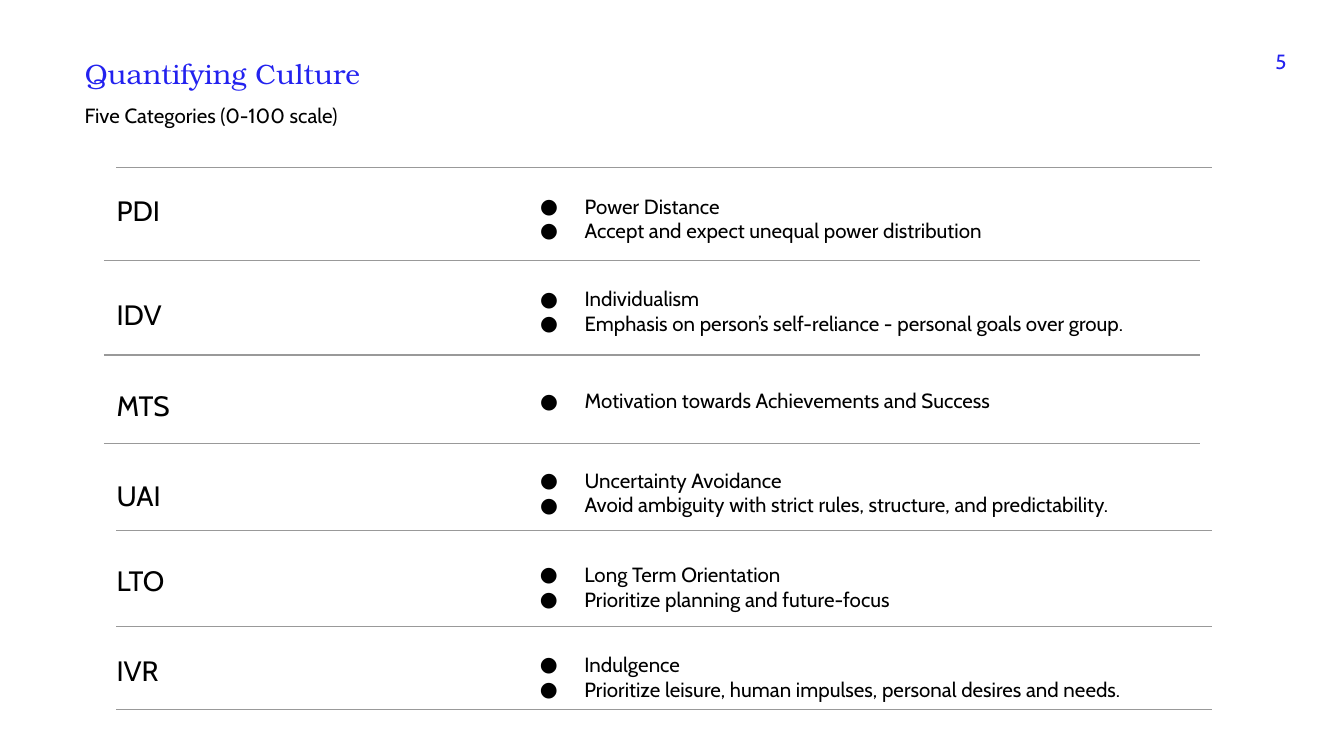
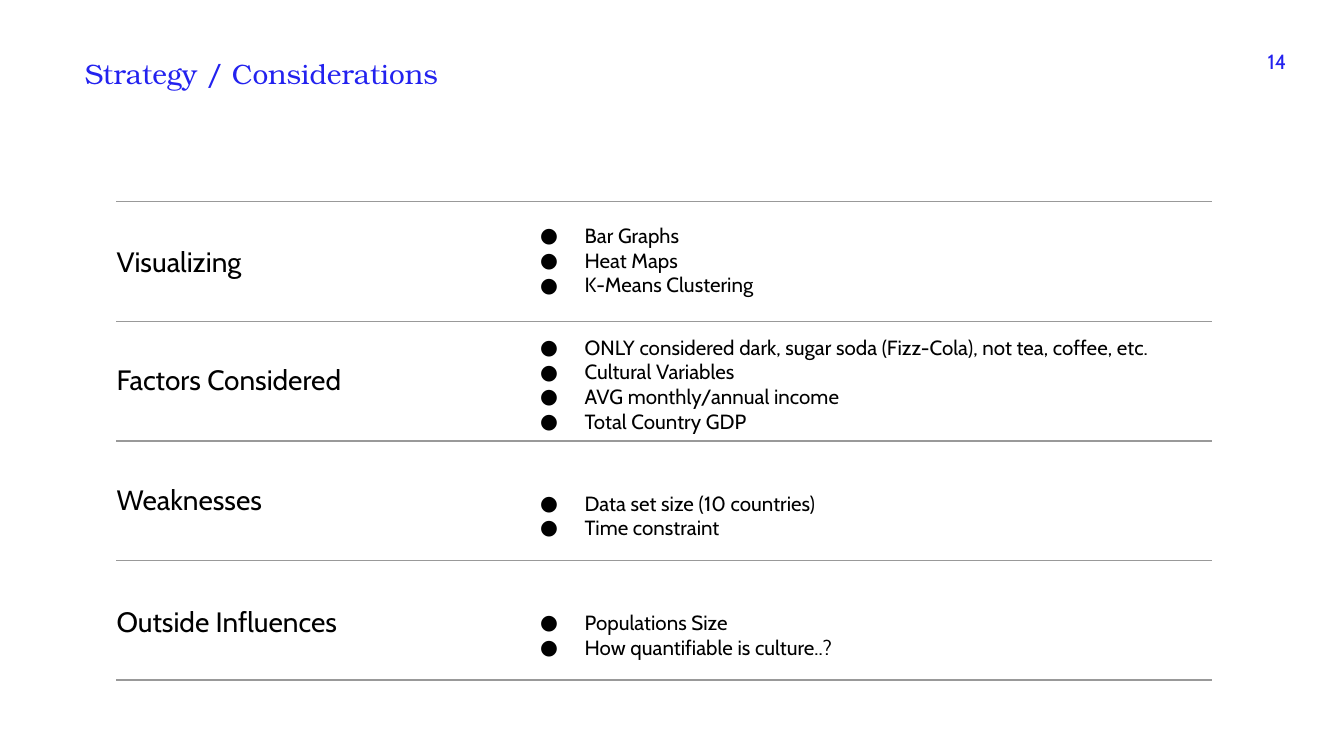
from lxml.etree import SubElement
from pptx import Presentation
from pptx.dml.color import RGBColor
from pptx.enum.shapes import MSO_CONNECTOR as CONN
from pptx.enum.text import MSO_ANCHOR as ANCHOR, MSO_AUTO_SIZE as AUTO, PP_ALIGN as ALIGN
from pptx.oxml.ns import qn
from pptx.util import Pt

BLUE, BLACK, GREY = "2322EF", "000000", "999999"
HEADING = dict(name="TeX Gyre Bonum", size=15, color=BLUE)
LABEL = dict(name="Cabin", size=15, color=BLACK)
BODY = dict(name="Cabin", size=11, color=BLACK)
NUMBER = dict(name="Cabin", size=11, color=BLUE)

INSET = 7.2
LABEL_X, LABEL_W, LABEL_H = 55.4, 160.6, 30
LIST_X, LIST_W, LINE_H = 270, 378.7, 13.4
RULE_X, RULE_W, RULE_OUT = 62.3, 587, 55.7
HEADING_BOX = (38.2, 23, 283, 26.6)
SUBTITLE_BOX = (38.2, 48.2, 383.8, 29.5)
NUMBER_BOX = (668.9, 19.4, 27.4, 13.7)

SLIDES = [
    dict(
        heading="Quantifying Culture",
        subtitle="Five Categories (0-100 scale)",
        number="5",
        rules=[(RULE_X, 89.8), (RULE_OUT, 139.7), (RULE_OUT, 190.1), (RULE_OUT, 237.6),
               (RULE_X, 284.4), (RULE_X, 335.5), (RULE_X, 380.2)],
        rows=[
            ("PDI", 96.5, 96.5, ["Power Distance",
                                 "Accept and expect unequal power distribution"]),
            ("IDV", 152, 146.2, ["Individualism",
                                 "Emphasis on person’s self-reliance - personal goals over group."]),
            ("MTS", 200.9, 200.9, ["Motivation towards Achievements and Success"]),
            ("UAI", 249.1, 243.4, ["Uncertainty Avoidance",
                                   "Avoid ambiguity with strict rules, structure, and predictability."]),
            ("LTO", 294.5, 293.8, ["Long Term Orientation",
                                   "Prioritize planning and future-focus"]),
            ("IVR", 342.7, 342, ["Indulgence",
                                 "Prioritize leisure, human impulses, personal desires and needs."]),
        ],
    ),
    dict(
        heading="Strategy / Considerations",
        subtitle=None,
        number="14",
        rules=[(RULE_X, 108 + 64.1 * i) for i in range(5)],
        rows=[
            ("Visualizing", 123.8, 112.3, ["Bar Graphs", "Heat Maps", "K-Means Clustering"]),
            ("Factors Considered", 187.2, 172.1, [
                "ONLY considered dark, sugar soda (Fizz-Cola), not tea, coffee, etc.",
                "Cultural Variables", "AVG monthly/annual income", "Total Country GDP"]),
            ("Weaknesses", 251.3, 255.6, ["Data set size (10 countries)", "Time constraint"]),
            ("Outside Influences", 316.8, 319.7, ["Populations Size",
                                                  "How quantifiable is culture..?"]),
        ],
    ),
]


def rgb(value):
    return RGBColor.from_string(value)


def set_all(target, values):
    for name, value in values.items():
        setattr(target, name, value)


def add_bullet(p):
    pPr = p._p.get_or_add_pPr()
    pPr.set("marL", str(Pt(36)))
    pPr.set("indent", str(-Pt(23.8)))
    color = SubElement(pPr, qn("a:buClr"))
    SubElement(color, qn("a:srgbClr")).set("val", BLACK)
    SubElement(pPr, qn("a:buFont")).set("typeface", "Cabin")
    SubElement(pPr, qn("a:buChar")).set("char", "●")


def write(slide, box, lines, style, holder=None, align=ALIGN.LEFT, bullets=False):
    x, y, w, h = map(Pt, box)
    sp = holder or slide.shapes.add_textbox(x, y, w, h)
    set_all(sp, dict(left=x, top=y, width=w, height=h))
    tf = sp.text_frame
    set_all(tf, dict(word_wrap=True, auto_size=AUTO.NONE, vertical_anchor=ANCHOR.TOP))
    set_all(tf, {"margin_" + side: Pt(INSET) for side in ("left", "top", "right", "bottom")})
    for i, line in enumerate(lines):
        p = tf.add_paragraph() if i else tf.paragraphs[0]
        set_all(p, dict(alignment=align, space_before=Pt(0)))
        if bullets:
            add_bullet(p)
        r = p.add_run()
        r.text = line
        set_all(r.font, dict(name=style["name"], size=Pt(style["size"]), bold=False))
        r.font.color.rgb = rgb(style["color"])


def add_rule(slide, x, y):
    line = slide.shapes.add_connector(CONN.STRAIGHT, Pt(x), Pt(y), Pt(x + RULE_W), Pt(y))
    line.line.width = Pt(0.75)
    line.line.color.rgb = rgb(GREY)
    SubElement(line._element.spPr, qn("a:effectLst"))


def build(prs, content):
    slide = prs.slides.add_slide(prs.slide_layouts.get_by_name("Comparison"))
    title, *bodies = slide.placeholders
    free = iter(bodies)
    write(slide, HEADING_BOX, [content["heading"]], HEADING, title)
    if content["subtitle"]:
        write(slide, SUBTITLE_BOX, [content["subtitle"]], BODY)
    write(slide, NUMBER_BOX, [content["number"]], NUMBER, align=ALIGN.RIGHT)
    for x, y in content["rules"]:
        add_rule(slide, x, y)
    for label, label_y, list_y, items in content["rows"]:
        write(slide, (LABEL_X, label_y, LABEL_W, LABEL_H), [label], LABEL)
        list_box = (LIST_X, list_y, LIST_W, 2 * INSET + LINE_H * len(items))
        write(slide, list_box, items, BODY, next(free, None), bullets=True)


def main():
    prs = Presentation()
    set_all(prs, dict(slide_width=Pt(720), slide_height=Pt(405)))
    for content in SLIDES:
        build(prs, content)
    prs.save("out.pptx")


if __name__ == "__main__":
    main()
